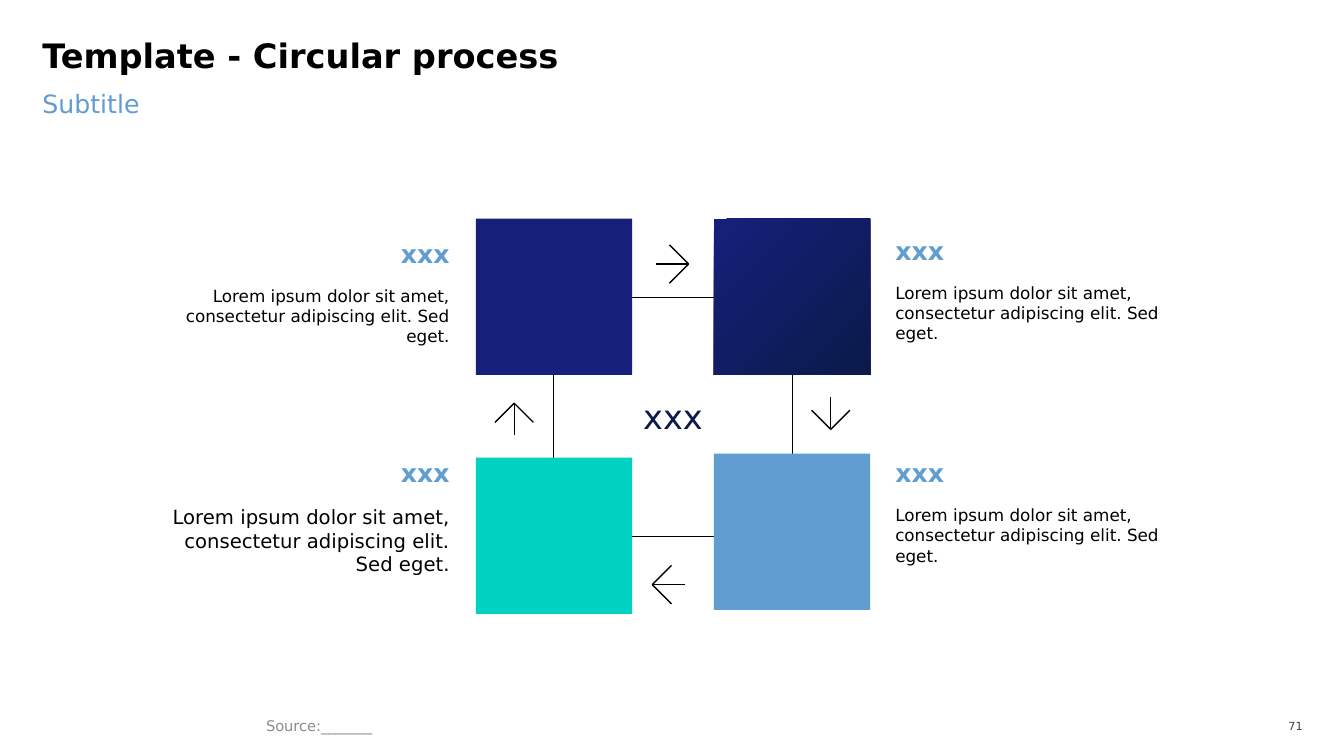
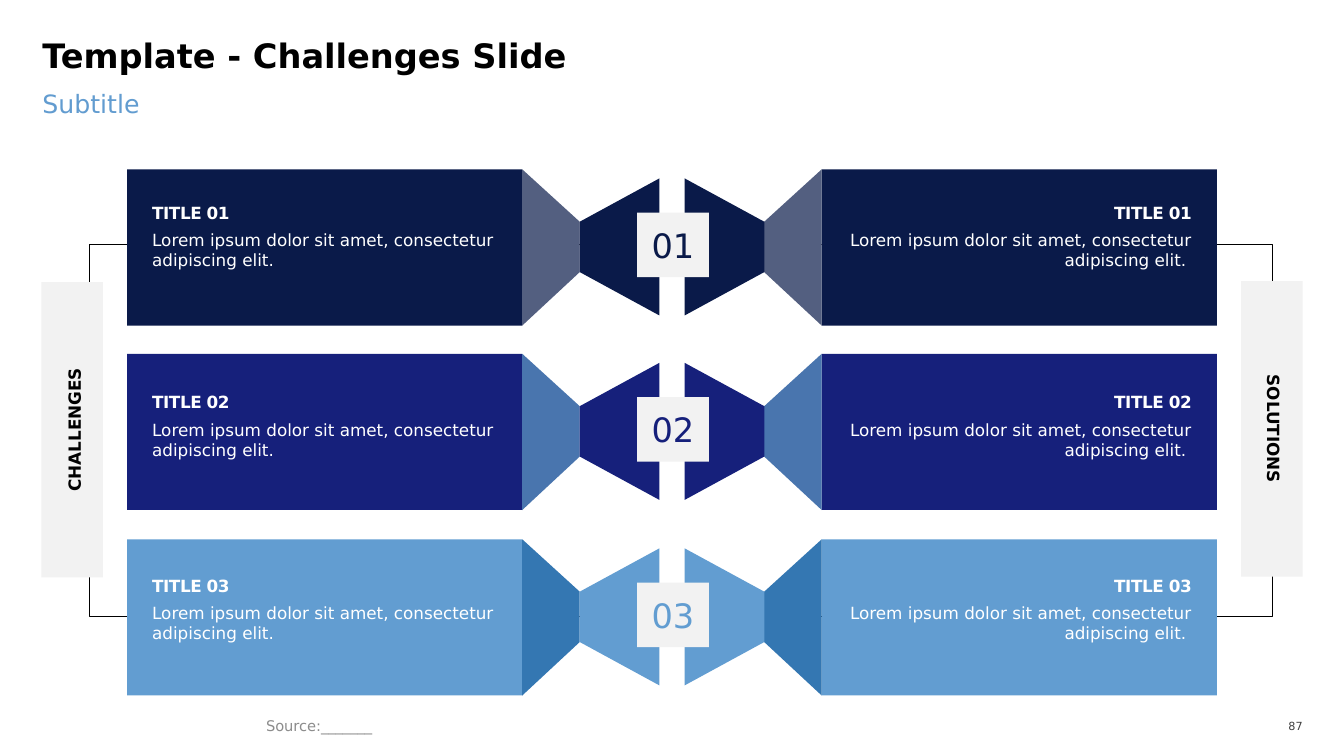
from lxml import etree
from pptx import Presentation
from pptx.dml.color import RGBColor
from pptx.enum.shapes import MSO_CONNECTOR, MSO_SHAPE
from pptx.enum.text import MSO_ANCHOR, PP_ALIGN
from pptx.oxml.ns import qn
from pptx.util import Emu, Pt

RECTANGLE = MSO_SHAPE.RECTANGLE
STRAIGHT = MSO_CONNECTOR.STRAIGHT
LEFT, CENTER, RIGHT = PP_ALIGN.LEFT, PP_ALIGN.CENTER, PP_ALIGN.RIGHT
TOP, MIDDLE, BOTTOM = MSO_ANCHOR.TOP, MSO_ANCHOR.MIDDLE, MSO_ANCHOR.BOTTOM

PX = 9144  # EMU; 100 px to the inch
WIDTH, HEIGHT = 1333, 750
FONT = "DejaVu Sans"

BLACK = RGBColor(0x00, 0x00, 0x00)
WHITE = RGBColor(0xFF, 0xFF, 0xFF)
NAVY = RGBColor(0x0A, 0x1A, 0x49)
INDIGO = RGBColor(0x16, 0x20, 0x7B)
SKY = RGBColor(0x62, 0x9D, 0xD1)
SUBTITLE_BLUE = RGBColor(0x62, 0x9C, 0xD0)
TEAL = RGBColor(0x00, 0xD2, 0xC2)
SLATE = RGBColor(0x53, 0x5F, 0x80)
STEEL = RGBColor(0x49, 0x75, 0xAE)
OCEAN = RGBColor(0x34, 0x77, 0xB2)
PALE = RGBColor(0xF2, 0xF2, 0xF2)
SOURCE_GRAY = RGBColor(0x8C, 0x8C, 0x8C)
NUMBER_GRAY = RGBColor(0x40, 0x40, 0x40)

SUBTITLE = "Subtitle"
SOURCE = "Source:_______"

# Circular process
CYCLE_TITLE, CYCLE_PAGE = "Template - Circular process", "71"
CYCLE_CENTER = "xxx"
STEP_TEXT = "Lorem ipsum dolor sit amet, consectetur adipiscing elit. Sed eget."
STEP_SIZE, STEP_TEXT_WIDTH = 155, 293
# square left, top, fill(s); text left, top, alignment, body size
STEPS = [
    (472, 217, (INDIGO,), 153, 236, RIGHT, 12),
    (708, 217, (INDIGO, NAVY), 888, 233, LEFT, 12),
    (472, 454, (TEAL,), 153, 454, RIGHT, 14),
    (708, 450, (SKY,), 888, 454, LEFT, 12),
]
# tip, direction
ARROWS = [
    ((683, 262), (1, 0)),
    ((824, 426), (0, 1)),
    ((510, 400), (0, -1)),
    ((647, 580), (-1, 0)),
]
ARROW_HEAD, ARROW_SHAFT = 19, 32

# Challenges
CHALLENGES_TITLE, CHALLENGES_PAGE = "Template - Challenges Slide", "87"
SIDEBARS = [("CHALLENGES", 41, 280, "vert270"), ("SOLUTIONS", 1231, 279, "vert")]
CHALLENGE_TEXT = "Lorem ipsum dolor sit amet, consectetur adipiscing elit."
SOLUTION_TEXT = "Lorem ipsum dolor sit amet, consectetur adipiscing elit. "
# number, row top, title top, colour, fold colour
ROWS = [
    ("01", 168, 196, NAVY, SLATE),
    ("02", 351, 384, INDIGO, STEEL),
    ("03", 535, 566, SKY, OCEAN),
]
PANEL_LEFT, PANEL_WIDTH, ROW_HEIGHT = 126, 392, 155
TEXT_LEFT, TEXT_WIDTH = 151, 344
# Left-hand outlines, measured from the row top
FOLD = [(518, 0), (518, 155), (575, 102), (575, 52)]
WEDGE = [(575, 52), (575, 102), (654, 145), (654, 9)]


def px(*lengths):
    return [Emu(round(length * PX)) for length in lengths]


def write(shape, text, size=12, color=BLACK, bold=False, align=LEFT, anchor=TOP,
          insets=(0, 0, 0, 0), line_spacing=None, spacing=None, vert=None):
    """Put one formatted paragraph into a shape; spacing is in 1/100 pt."""
    frame = shape.text_frame
    frame.word_wrap = True
    frame.vertical_anchor = anchor
    (frame.margin_left, frame.margin_top,
     frame.margin_right, frame.margin_bottom) = px(*insets)
    if vert:
        frame._txBody.bodyPr.set("vert", vert)
    paragraph = frame.paragraphs[0]
    paragraph.alignment = align
    if line_spacing:
        paragraph.line_spacing = line_spacing
    run = paragraph.add_run()
    run.text = text
    run.font.name, run.font.size, run.font.bold = FONT, Pt(size), bold
    run.font.color.rgb = color
    if spacing:
        run._r.get_or_add_rPr().set("spc", str(spacing))


def add_text(slide, box, text, **text_format):
    write(slide.shapes.add_textbox(*px(*box)), text, **text_format)


def paint(shape, colors):
    """Fill without outline: one colour is solid, two make a diagonal gradient."""
    shape.shadow.inherit = False
    shape.line.fill.background()
    if len(colors) == 1:
        shape.fill.solid()
        shape.fill.fore_color.rgb = colors[0]
    else:
        shape.fill.gradient()
        shape.fill.gradient_angle = 315
        for stop, color, position in zip(shape.fill.gradient_stops, colors, (0, 1)):
            stop.color.rgb = color
            stop.position = position


def add_block(slide, box, *colors):
    block = slide.shapes.add_shape(RECTANGLE, *px(*box))
    paint(block, colors)
    return block


def add_frame(slide, box):
    """Thin unfilled rectangle that links the blocks drawn over it."""
    frame = slide.shapes.add_shape(RECTANGLE, *px(*box))
    frame.shadow.inherit = False
    frame.fill.background()
    frame.line.color.rgb = BLACK
    frame.line.width = Pt(0.25)


def add_outline(slide, points, color):
    builder = slide.shapes.build_freeform(*points[0], scale=PX)
    builder.add_line_segments(points[1:], close=True)
    paint(builder.convert_to_shape(), (color,))


def add_arrow(slide, tip, direction):
    x, y = tip
    dx, dy = direction
    back_x, back_y = x - dx * ARROW_HEAD, y - dy * ARROW_HEAD
    side_x, side_y = dy * ARROW_HEAD, dx * ARROW_HEAD
    tails = [
        (back_x - side_x, back_y - side_y),
        (back_x + side_x, back_y + side_y),
        (x - dx * ARROW_SHAFT, y - dy * ARROW_SHAFT),
    ]
    for tail in tails:
        stroke = slide.shapes.add_connector(STRAIGHT, *px(*tail, *tip))
        stroke.line.color.rgb = BLACK
        stroke.line.width = Pt(1)
        etree.SubElement(stroke._element.spPr, qn("a:effectLst"))


def add_base(deck, title, page):
    """New slide with the title, subtitle, source and page number."""
    slide = deck.slides.add_slide(deck.slide_layouts[6])
    add_text(slide, (42, 42, 1249, 53), title, size=24, bold=True, line_spacing=0.8)
    add_text(slide, (42, 88, 1249, 63), SUBTITLE, size=18, color=SUBTITLE_BLUE)
    add_text(slide, (254, 707, 639, 26), SOURCE, size=10.5, color=SOURCE_GRAY,
             anchor=MIDDLE, insets=(10, 5, 10, 5))
    add_text(slide, (1250, 709, 42, 23), page, size=8, color=NUMBER_GRAY,
             align=RIGHT, anchor=MIDDLE)
    return slide


def build_cycle(deck):
    slide = add_base(deck, CYCLE_TITLE, CYCLE_PAGE)
    add_frame(slide, (549, 295, 237, 237))
    for left, top, colors, text_left, text_top, align, size in STEPS:
        add_block(slide, (left, top, STEP_SIZE, STEP_SIZE), *colors)
        add_text(slide, (text_left, text_top, STEP_TEXT_WIDTH, 40), "xxx",
                 size=18, color=SKY, bold=True, align=align)
        add_text(slide, (text_left, text_top + 47, STEP_TEXT_WIDTH, 61), STEP_TEXT,
                 size=size, align=align)
    for tip, direction in ARROWS:
        add_arrow(slide, tip, direction)
    add_text(slide, (549, 393, 237, 40), CYCLE_CENTER, size=24, color=NAVY, align=CENTER)


def build_challenges(deck):
    slide = add_base(deck, CHALLENGES_TITLE, CHALLENGES_PAGE)
    add_frame(slide, (88, 242, 1174, 369))
    for label, left, top, vert in SIDEBARS:
        write(add_block(slide, (left, top, 61, 293), PALE), label, bold=True,
              align=CENTER, anchor=MIDDLE, insets=(12, 8, 8, 8), vert=vert)
    for number, top, title_top, color, fold_color in ROWS:
        for mirrored, body, align in ((False, CHALLENGE_TEXT, LEFT),
                                      (True, SOLUTION_TEXT, RIGHT)):
            def place(x, width=0):
                return WIDTH - x - width if mirrored else x

            add_block(slide, (place(PANEL_LEFT, PANEL_WIDTH), top,
                              PANEL_WIDTH, ROW_HEIGHT), color)
            for outline, fill in ((FOLD, fold_color), (WEDGE, color)):
                add_outline(slide, [(place(x), top + y) for x, y in outline], fill)
            text_left = place(TEXT_LEFT, TEXT_WIDTH)
            add_text(slide, (text_left, title_top, TEXT_WIDTH, 30), f"TITLE {number}",
                     color=WHITE, bold=True, align=align, anchor=BOTTOM,
                     insets=(0, 5, 0, 5), spacing=-30)
            add_text(slide, (text_left, title_top + 32, TEXT_WIDTH, 61), body,
                     color=WHITE, align=align)
        write(add_block(slide, (632, top + 43, 71, 64), PALE), number, size=24,
              color=color, align=CENTER, anchor=MIDDLE)


def main():
    deck = Presentation()
    deck.slide_width, deck.slide_height = px(WIDTH, HEIGHT)
    build_cycle(deck)
    build_challenges(deck)
    deck.save("out.pptx")


if __name__ == "__main__":
    main()
